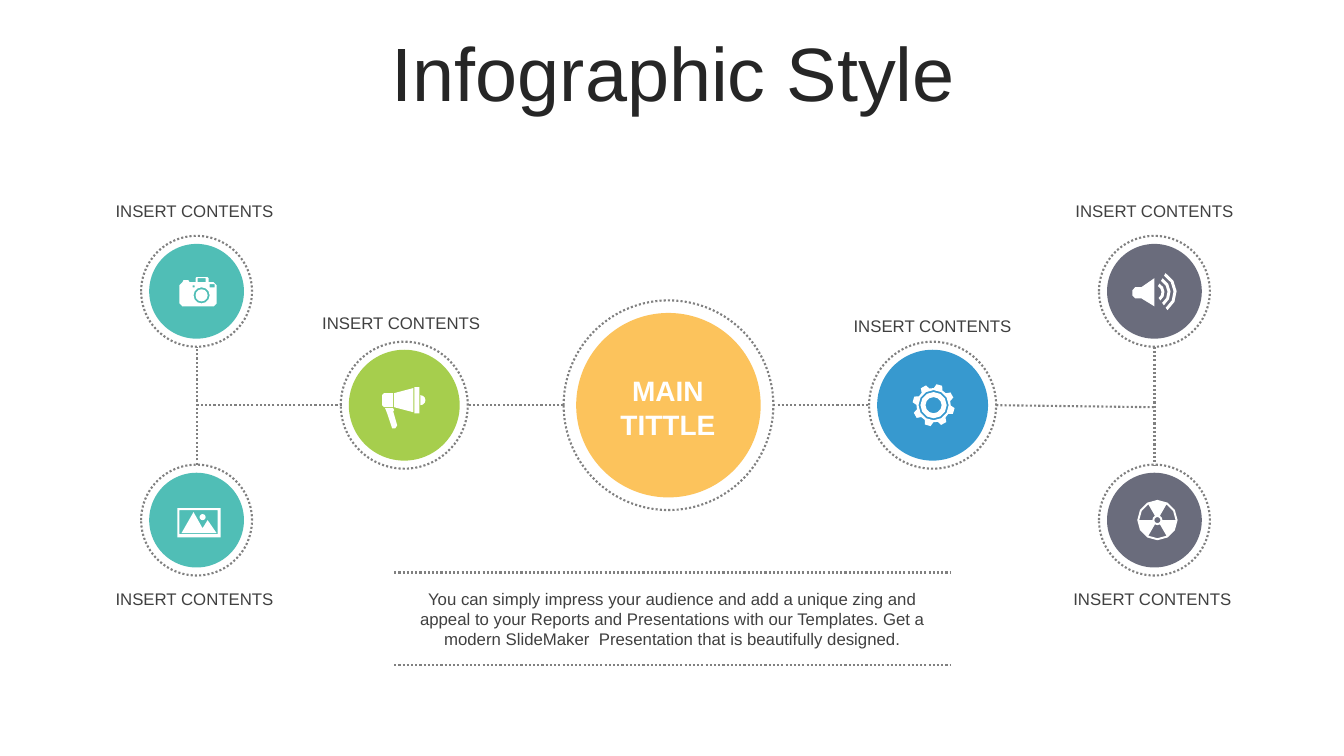
from dataclasses import dataclass
from math import cos, radians, sin

from lxml import etree
from pptx import Presentation
from pptx.dml.color import RGBColor
from pptx.enum.dml import MSO_LINE
from pptx.enum.shapes import MSO_CONNECTOR, MSO_SHAPE
from pptx.enum.text import MSO_ANCHOR, MSO_AUTO_SIZE, PP_ALIGN
from pptx.oxml.ns import qn
from pptx.util import Inches, Pt

DOTTED = MSO_LINE.ROUND_DOT
STRAIGHT = MSO_CONNECTOR.STRAIGHT
OVAL = MSO_SHAPE.OVAL
CENTER = PP_ALIGN.CENTER
MIDDLE = MSO_ANCHOR.MIDDLE
NO_AUTOFIT = MSO_AUTO_SIZE.NONE
TITLE_ONLY = 5

FONT = "Arial"
GREY, WHITE = "808080", "FFFFFF"
TITLE_TEXT = {"size": Pt(54), "bold": False, "color": "262626"}
HUB_TEXT = {"size": Pt(20), "bold": True, "color": WHITE}
BODY_TEXT = {"size": Pt(12), "bold": False, "color": "404040"}

Points = list[tuple[float, float]]


@dataclass
class Hub:
    x: float
    y: float
    disc: float
    ring: float
    color: str
    opacity: int


@dataclass
class Label:
    x: float
    top: float
    text: str = "INSERT CONTENTS"


AXIS, TOP_ROW, BOTTOM_ROW = 4.02, 2.89, 5.16
LEFT, RIGHT = 1.95, 11.45
HUBS = [
    Hub(6.63, AXIS, 1.83, 2.08, "FBA200", 64),
    Hub(9.25, AXIS, 1.1, 1.26, "0680C3", 80),
    Hub(4.01, AXIS, 1.1, 1.26, "90C221", 80),
    Hub(RIGHT, TOP_ROW, 0.94, 1.1, "2C2F45", 70),
    Hub(RIGHT, BOTTOM_ROW, 0.94, 1.1, "2C2F45", 70),
    Hub(LEFT, TOP_ROW, 0.94, 1.1, "07A398", 70),
    Hub(LEFT, BOTTOM_ROW, 0.94, 1.1, "07A398", 70),
]
LINES = [
    (7.67, AXIS, 8.62, AXIS), (9.88, AXIS, RIGHT, 4.04),
    (5.59, AXIS, 4.65, AXIS), (3.39, AXIS, LEFT, AXIS),
    (RIGHT, 3.44, RIGHT, 4.61), (LEFT, 4.61, LEFT, 3.44),
    (3.91, 5.68, 9.42, 5.68), (3.91, 6.6, 9.42, 6.6),
]
LABELS = [
    Label(1.93, 1.94), Label(1.93, 5.79), Label(3.98, 3.05),
    Label(9.25, 3.08), Label(11.45, 1.94), Label(11.43, 5.79),
]


def rgb(color: str) -> RGBColor:
    return RGBColor.from_string(color)


def arc(x: float, y: float, r: float, start: float, end: float) -> Points:
    """Points along an arc, angles in degrees clockwise from the right."""
    steps = round(abs(end - start) / 30)
    angles = [radians(start + (end - start) * i / steps) for i in range(steps + 1)]
    return [(x + r * cos(a), y + r * sin(a)) for a in angles]


def circle(x: float, y: float, r: float) -> Points:
    return arc(x, y, r, 0, 330)


def band(x: float, y: float, inner: float, outer: float, start: float, end: float) -> Points:
    return arc(x, y, outer, start, end) + arc(x, y, inner, end, start)


def box(x1: float, y1: float, x2: float, y2: float) -> Points:
    return [(x1, y1), (x2, y1), (x2, y2), (x1, y2)]


def speaker() -> list[Points]:
    body = [(11.45, 2.76), (11.45, 3.04), (11.32, 2.96), (11.26, 2.96),
            (11.23, 2.93), (11.23, 2.88), (11.26, 2.85), (11.32, 2.85)]
    return [body] + [band(11.45, 2.9, r - 0.03, r, -60, 54) for r in (0.1, 0.16, 0.22)]


def radiation() -> list[Points]:
    x, y = 11.48, 5.16
    sectors = [band(x, y, 0.05, 0.18, a, a + 60) for a in (-60, 60, 180)]
    return [circle(x, y, 0.2), circle(x, y, 0.03)] + sectors


def gear() -> list[Points]:
    x, y = 9.26, 4.02
    teeth = []
    for i in range(8):
        middle = -74 + 45 * i
        for r, offset in ((0.17, -15), (0.21, -8), (0.21, 8), (0.17, 15)):
            a = radians(middle + offset)
            teeth.append((x + r * cos(a), y + r * sin(a)))
    return [teeth] + [circle(x, y, r) for r in (0.15, 0.13, 0.08)]


def megaphone() -> list[Points]:
    handle = [(3.82, 4.05), (3.9, 4.05), (3.91, 4.07), (3.9, 4.08), (3.94, 4.22),
              (3.92, 4.25), (3.89, 4.25), (3.84, 4.1)]
    back = [(3.81, 3.9), (3.9, 3.9), (3.9, 4.04), (3.81, 4.04), (3.79, 4.02), (3.79, 3.92)]
    horn = [(3.91, 3.9), (4.1, 3.85), (4.1, 4.09), (3.91, 4.04)]
    return [handle, back, horn, box(4.11, 3.84, 4.16, 4.1), arc(4.17, 3.97, 0.05, -90, 90)]


def camera() -> list[Points]:
    body = [(1.78, 2.83), (1.81, 2.8), (1.82, 2.78), (1.87, 2.78), (1.88, 2.8),
            (1.94, 2.8), (1.94, 2.76), (1.95, 2.75), (2.06, 2.75), (2.07, 2.76),
            (2.07, 2.8), (2.12, 2.8), (2.15, 2.83), (2.15, 3.01), (2.12, 3.04),
            (1.81, 3.04), (1.78, 3.01)]
    return [body, circle(2, 2.93, 0.08), circle(2, 2.93, 0.06), box(1.96, 2.76, 2.04, 2.8),
            box(1.91, 2.83, 1.93, 2.85), box(2.08, 2.82, 2.13, 2.85)]


def landscape() -> list[Points]:
    hills = [(1.8, 5.29), (1.92, 5.08), (2.01, 5.24), (2.06, 5.16), (2.15, 5.29)]
    return [box(1.76, 5.04, 2.19, 5.33), box(1.78, 5.06, 2.16, 5.3),
            hills, circle(2.01, 5.13, 0.03)]


def dot_line(line) -> None:
    line.color.rgb = rgb(GREY)
    line.width = Pt(1.5)
    line.dash_style = DOTTED


def add_circle(shapes, x: float, y: float, size: float):
    at = (x - size / 2, y - size / 2, size, size)
    sp = shapes.add_shape(OVAL, *map(Inches, at))
    sp.shadow.inherit = False
    return sp


def add_hub(slide, hub: Hub) -> None:
    group = slide.shapes.add_group_shape()
    disc = add_circle(group.shapes, hub.x, hub.y, hub.disc)
    disc.fill.solid()
    disc.fill.fore_color.rgb = rgb(hub.color)
    disc.line.fill.background()
    color = disc.fill._xPr.find(qn("a:solidFill"))[0]
    etree.SubElement(color, qn("a:alpha"), val=str(hub.opacity * 1000))
    ring = add_circle(group.shapes, hub.x, hub.y, hub.ring)
    ring.fill.background()
    dot_line(ring.line)


def add_line(slide, ends: tuple[float, float, float, float]) -> None:
    line = slide.shapes.add_connector(STRAIGHT, *map(Inches, ends))
    etree.SubElement(line._element.spPr, qn("a:effectLst"))
    dot_line(line.line)


def add_icon(slide, contours: list[Points]) -> None:
    """Draw all contours as one white shape; nested contours become holes."""
    outlines = [[(Inches(x), Inches(y)) for x, y in c] for c in contours]
    builder = slide.shapes.build_freeform(*outlines[0][0])
    for i, outline in enumerate(outlines):
        if i:
            builder.move_to(*outline[0])
        builder.add_line_segments(outline[1:], close=True)
    sp = builder.convert_to_shape()
    sp.shadow.inherit = False
    sp.fill.solid()
    sp.fill.fore_color.rgb = rgb(WHITE)
    sp.line.fill.background()


def write(tf, lines: list[str], style: dict, wrap: bool = True) -> None:
    tf.word_wrap = wrap
    for i, line in enumerate(lines):
        p = tf.add_paragraph() if i else tf.paragraphs[0]
        p.alignment = CENTER
        r = p.add_run()
        r.text = line
        r.font.name = FONT
        for name, value in style.items():
            if name == "color":
                r.font.color.rgb = rgb(value)
            else:
                setattr(r.font, name, value)


def add_text(slide, at: tuple[float, float, float, float], lines: list[str],
             style: dict, wrap: bool = True) -> None:
    write(slide.shapes.add_textbox(*map(Inches, at)).text_frame, lines, style, wrap)


def main() -> None:
    prs = Presentation()
    prs.slide_width, prs.slide_height = Inches(13.33), Inches(7.5)
    slide = prs.slides.add_slide(prs.slide_layouts[TITLE_ONLY])

    title = slide.shapes.title
    title.left, title.top, title.width, title.height = map(Inches, (0.35, 0.37, 12.66, 0.79))
    tf = title.text_frame
    tf.auto_size, tf.vertical_anchor = NO_AUTOFIT, MIDDLE
    write(tf, ["Infographic Style"], TITLE_TEXT)
    tf.paragraphs[0].line_spacing = 0.9

    for hub in HUBS:
        add_hub(slide, hub)
    for ends in LINES:
        add_line(slide, ends)
    for label in LABELS:
        add_text(slide, (label.x - 0.9, label.top, 1.8, 0.3), [label.text], BODY_TEXT, wrap=False)
    add_text(slide, (5.84, 3.66, 1.57, 0.77), ["MAIN", "TITTLE"], HUB_TEXT)
    add_text(slide, (3.88, 5.79, 5.58, 0.71), [
        "You can simply impress your audience and add a unique zing and appeal to your "
        "Reports and Presentations with our Templates. Get a modern SlideMaker  "
        "Presentation that is beautifully designed."], BODY_TEXT)
    for icon in (speaker, radiation, megaphone, camera, landscape, gear):
        add_icon(slide, icon())
    prs.save("out.pptx")


if __name__ == "__main__":
    main()
